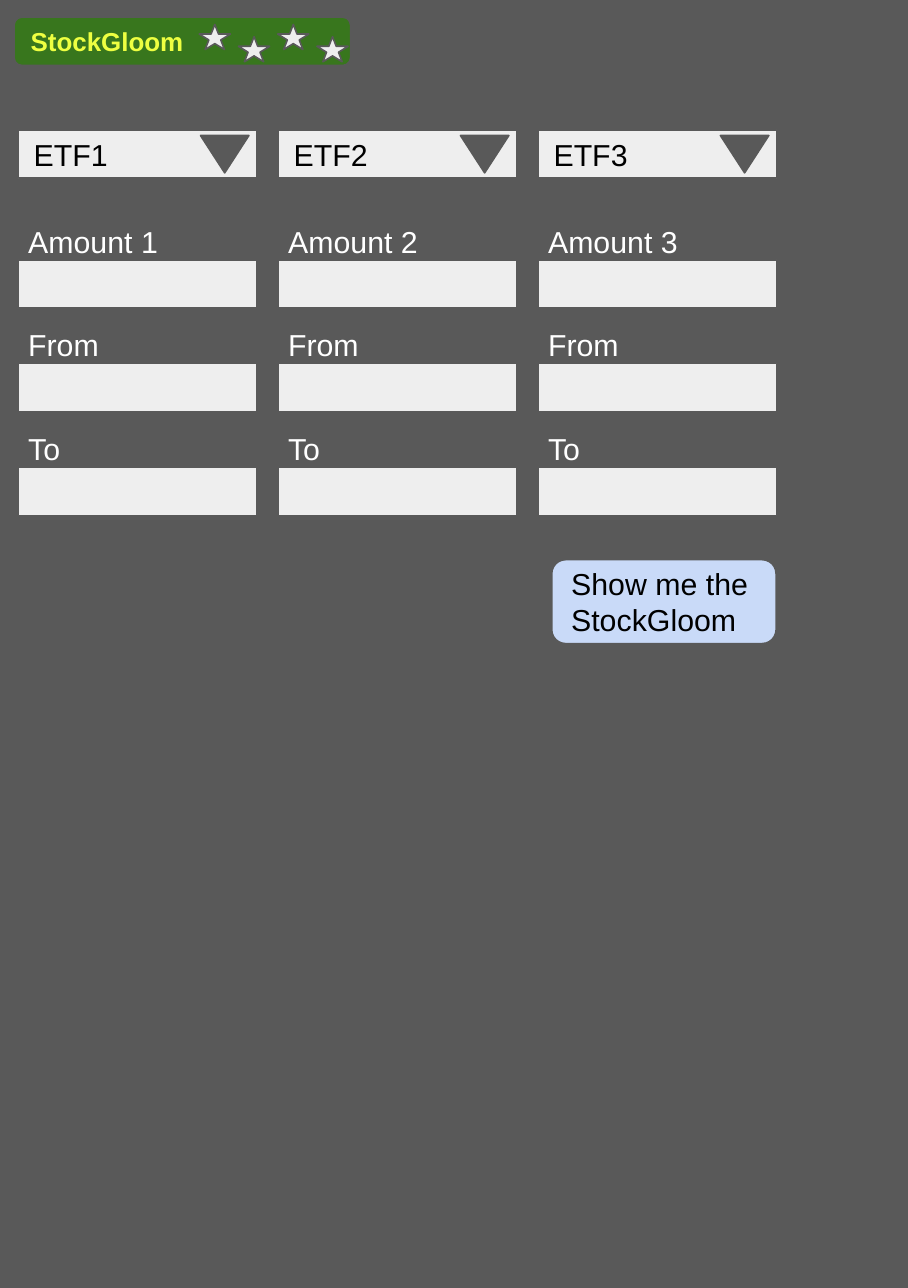
"""Build the StockGloom input form as a single portrait slide."""
from pptx import Presentation
from pptx.dml.color import RGBColor
from pptx.enum import shapes, text
from pptx.util import Cm, Pt

GREY = RGBColor(0x59, 0x59, 0x59)
LIGHT = RGBColor(0xEE, 0xEE, 0xEE)
GREEN = RGBColor(0x38, 0x76, 0x1D)
YELLOW = RGBColor(0xEE, 0xFF, 0x41)
BLUE = RGBColor(0xC9, 0xDA, 0xF8)
BLACK = RGBColor(0, 0, 0)
WHITE = RGBColor(0xFF, 0xFF, 0xFF)
SHAPE = shapes.MSO_SHAPE
MIDDLE = text.MSO_ANCHOR.MIDDLE
TOP = text.MSO_ANCHOR.TOP
APP = "StockGloom"


def add_box(kind, x, y, w, h, fill):
    sp = s.shapes.add_shape(kind, Cm(x), Cm(y), Cm(w), Cm(h))
    sp.shadow.inherit = False
    sp.fill.solid()
    sp.fill.fore_color.rgb = fill
    sp.line.color.rgb = GREY
    sp.line.width = Pt(0.75)
    return sp


def write(sp, words, color, anchor=MIDDLE, size=14, bold=False, inset=0.25):
    tf = sp.text_frame
    tf.word_wrap = True
    tf.auto_size = text.MSO_AUTO_SIZE.NONE
    tf.vertical_anchor = anchor
    tf.margin_left = tf.margin_right = tf.margin_top = tf.margin_bottom = Cm(inset)
    p = tf.paragraphs[0]
    p.alignment = text.PP_ALIGN.LEFT
    r = p.add_run()
    r.text = words
    r.font.name = "Arial"
    r.font.size = Pt(size)
    r.font.bold = bold
    r.font.color.rgb = color


prs = Presentation()
prs.slide_width, prs.slide_height = Cm(14.81), Cm(21.01)
s = prs.slides.add_slide(prs.slide_layouts[5])
s.background.fill.solid()
s.background.fill.fore_color.rgb = GREY

banner = add_box(SHAPE.ROUNDED_RECTANGLE, 0.23, 0.28, 5.49, 0.79, GREEN)
title = s.shapes.title
title.element.addprevious(banner.element)
title.left, title.top, title.width, title.height = Cm(0.27), Cm(0.28), Cm(3), Cm(0.79)
write(title, APP, YELLOW, size=12, bold=True, inset=0.23)

for i in range(4):
    add_box(SHAPE.STAR_5_POINT, 3.25 + 0.64 * i, 0.4 + 0.2 * (i % 2), 0.51, 0.41, LIGHT)

for col in range(3):
    x = 0.3 + 4.24 * col
    dropdown = add_box(SHAPE.RECTANGLE, x, 2.12, 3.89, 0.79, LIGHT)
    write(dropdown, f"ETF{col + 1}", BLACK)
    arrow = add_box(SHAPE.ISOSCELES_TRIANGLE, x + 2.97, 2.21, 0.79, 0.61, GREY)
    arrow.rotation = 180
    for row, name in enumerate([f"Amount {col + 1}", "From", "To"]):
        y = 4.24 + 1.69 * row
        add_box(SHAPE.RECTANGLE, x, y, 3.89, 0.79, LIGHT)
        label = s.shapes.add_textbox(Cm(x - 0.09), Cm(y - 0.85), Cm(2.7), Cm(1.12))
        write(label, name, WHITE, TOP)

button = add_box(SHAPE.ROUNDED_RECTANGLE, 9, 9.13, 3.66, 1.37, BLUE)
write(button, f"Show me the {APP}", BLACK)

prs.save("out.pptx")
